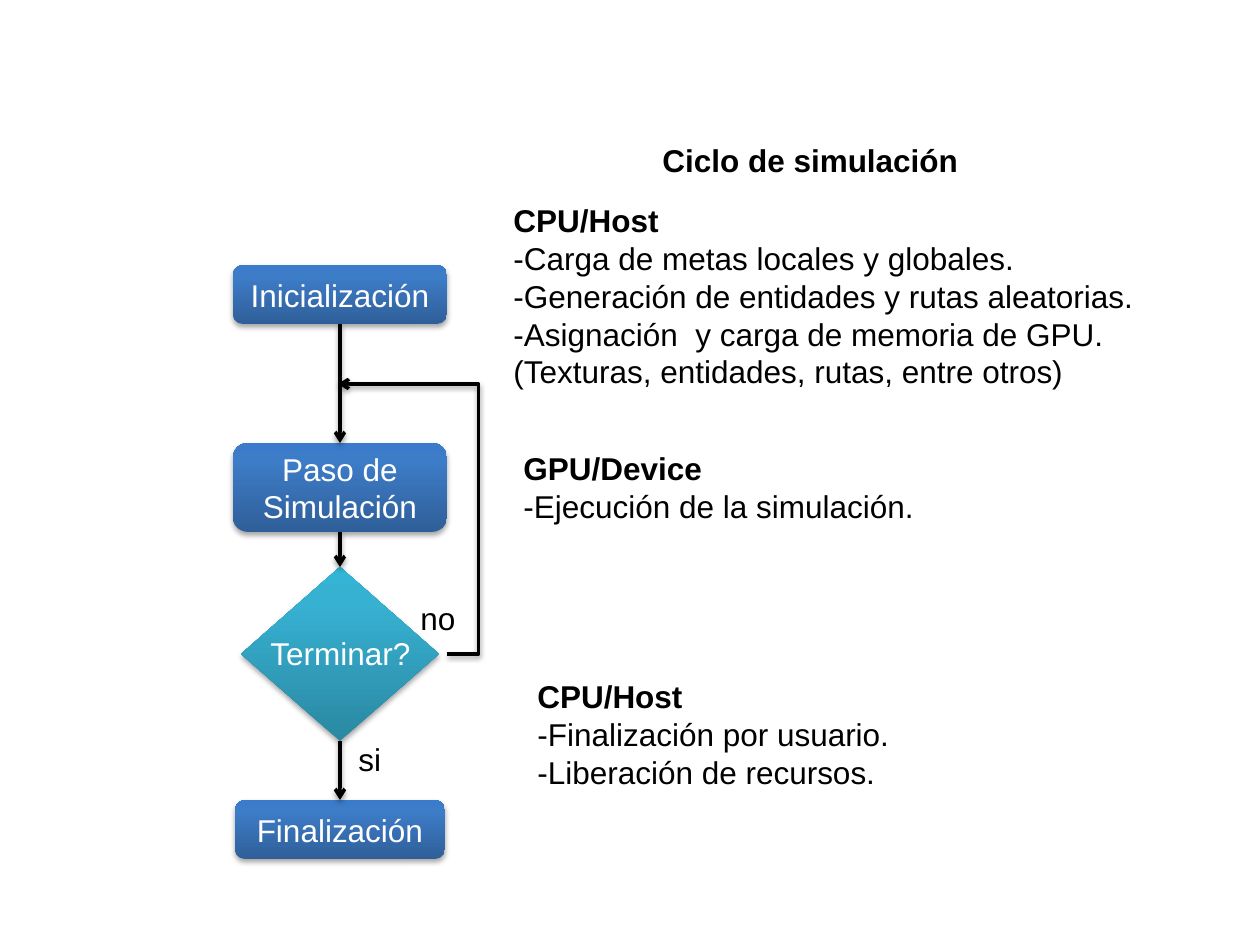
from copy import deepcopy

from pptx import Presentation
from pptx.dml.color import RGBColor
from pptx.enum.shapes import MSO_CONNECTOR, MSO_SHAPE
from pptx.enum.text import MSO_ANCHOR, MSO_AUTO_SIZE, PP_ALIGN
from pptx.oxml import parse_xml
from pptx.oxml.ns import nsdecls, qn
from pptx.util import Emu, Pt

ROUNDED, DIAMOND = MSO_SHAPE.ROUNDED_RECTANGLE, MSO_SHAPE.DIAMOND
STRAIGHT, ELBOW = MSO_CONNECTOR.STRAIGHT, MSO_CONNECTOR.ELBOW
CENTER, MIDDLE = PP_ALIGN.CENTER, MSO_ANCHOR.MIDDLE
FIT = MSO_AUTO_SIZE.SHAPE_TO_FIT_TEXT
TOP, BOTTOM = 0, 2
BLACK, WHITE = "000000", "FFFFFF"
BLUE = ("2F5F99", "3D7CC7", "3A7CCB")
TEAL = ("2A88A2", "37B1D2", "34B4D6")
STOPS = (0, 0.8, 1)


def px(n):
    return Emu(round(n * 914400 / 126))


def rgb(color):
    return RGBColor.from_string(color)


class Flowchart:
    """Draws flowchart elements on one slide in a shared style."""

    font, size, line_width = "Arial", Pt(18), Pt(2)

    def __init__(self, prs):
        self.slide = prs.slides.add_slide(prs.slide_layouts[6])

    def fill_text(self, tf, lines, color, heading=False):
        tf.word_wrap = True
        tf.text = "\n".join(lines)
        for i, p in enumerate(tf.paragraphs):
            for r in p.runs:
                r.font.name, r.font.size = self.font, self.size
                r.font.color.rgb = rgb(color)
                r.font.bold = heading and i == 0

    def shadow(self, s, distance, opacity):
        s.element.spPr.append(parse_xml(
            f'<a:effectLst {nsdecls("a")}><a:outerShdw blurRad="40000" dist="{distance}" '
            f'dir="5400000" rotWithShape="0"><a:srgbClr val="{BLACK}">'
            f'<a:alpha val="{opacity}000"/></a:srgbClr></a:outerShdw></a:effectLst>'))

    def text(self, x, y, w, h, *lines, color=BLACK, heading=False):
        tf = self.slide.shapes.add_textbox(px(x), px(y), px(w), px(h)).text_frame
        self.fill_text(tf, lines, color, heading)
        tf.auto_size = FIT

    def node(self, kind, x, y, w, h, colors, label=None):
        s = self.slide.shapes.add_shape(kind, px(x), px(y), px(w), px(h))
        s.fill.gradient()
        s.fill.gradient_angle = 90
        stops = s.element.spPr.find(".//" + qn("a:gsLst"))
        stops.append(deepcopy(stops[0]))
        for stop, position, color in zip(s.fill.gradient_stops, STOPS, colors):
            stop.position = position
            stop.color.rgb = rgb(color)
        s.line.fill.background()
        self.shadow(s, 23000, 35)
        if label:
            self.fill_text(s.text_frame, [label], WHITE)
            s.text_frame.vertical_anchor = MIDDLE
            s.text_frame.paragraphs[0].alignment = CENTER
        return s

    def arrow(self, kind, x1, y1, x2, y2):
        s = self.slide.shapes.add_connector(kind, px(x1), px(y1), px(x2), px(y2))
        s.line.color.rgb = rgb(BLACK)
        s.line.width = self.line_width
        ln = s.element.spPr.find(qn("a:ln"))
        ln.append(parse_xml(f'<a:tailEnd {nsdecls("a")} type="arrow"/>'))
        self.shadow(s, 20000, 38)
        return s

    def join(self, upper, lower):
        s = self.arrow(STRAIGHT, 0, 0, 0, 0)
        s.begin_connect(upper, BOTTOM)
        s.end_connect(lower, TOP)

    def loop(self, x1, y1, x2, y2, *adjustments):
        geom = self.arrow(ELBOW, x1, y1, x2, y2).element.spPr.find(qn("a:prstGeom"))
        geom.set("prst", "bentConnector4")
        guides = geom.find(qn("a:avLst"))
        for i, value in enumerate(adjustments, 1):
            guides.append(parse_xml(
                f'<a:gd {nsdecls("a")} name="adj{i}" fmla="val {round(value * 100000)}"/>'))


def main():
    prs = Presentation()
    prs.slide_width, prs.slide_height = px(1260), px(945)
    chart = Flowchart(prs)

    start = chart.node(ROUNDED, 233, 265, 214, 59, BLUE, "Inicialización")
    step = chart.node(ROUNDED, 233, 443, 214, 89, BLUE, "Paso de Simulación")
    decision = chart.node(DIAMOND, 241, 567, 198, 174, TEAL)
    end = chart.node(ROUNDED, 235, 800, 210, 59, BLUE, "Finalización")
    for upper, lower in ((start, step), (step, decision), (decision, end)):
        chart.join(upper, lower)
    chart.loop(447, 654, 338, 384, -0.29, 1)

    chart.text(258, 628, 189, 50, "Terminar?", color=WHITE)
    chart.text(346, 734, 59, 50, "si")
    chart.text(408, 593, 78, 50, "no")

    chart.text(650, 135, 546, 50, "Ciclo de simulación", heading=True)
    chart.text(501, 195, 674, 204, "CPU/Host",
               "-Carga de metas locales y globales.",
               "-Generación de entidades y rutas aleatorias.",
               "-Asignación  y carga de memoria de GPU.",
               "(Texturas, entidades, rutas, entre otros)", heading=True)
    chart.text(511, 443, 417, 89, "GPU/Device",
               "-Ejecución de la simulación.", heading=True)
    chart.text(525, 671, 377, 127, "CPU/Host",
               "-Finalización por usuario.",
               "-Liberación de recursos.", heading=True)
    prs.save("out.pptx")


if __name__ == "__main__":
    main()
